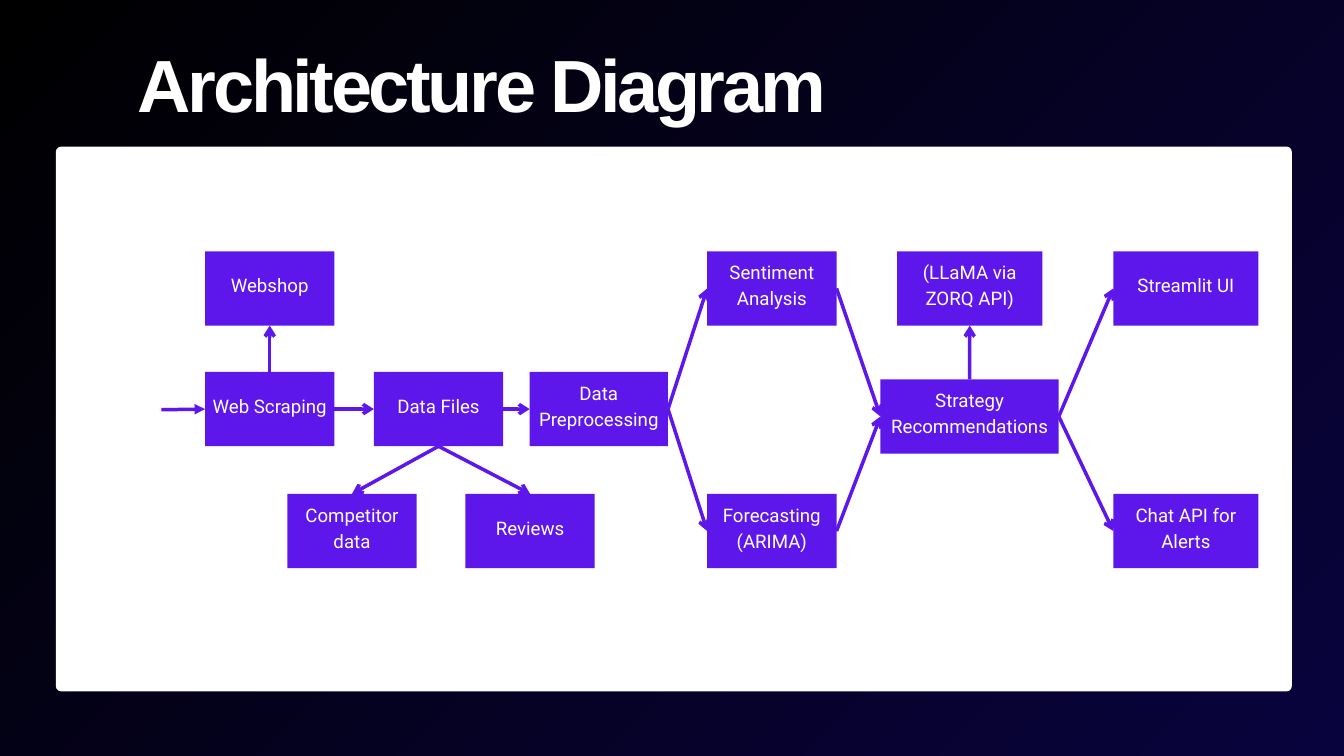
from dataclasses import dataclass

from pptx import Presentation
from pptx.dml.color import RGBColor
from pptx.enum.shapes import MSO_CONNECTOR, MSO_SHAPE
from pptx.enum.text import MSO_ANCHOR, PP_ALIGN
from pptx.oxml import parse_xml
from pptx.oxml.ns import nsdecls, qn
from pptx.util import Cm, Pt


@dataclass(frozen=True)
class Theme:
    white: RGBColor = RGBColor(0xFF, 0xFF, 0xFF)
    violet: RGBColor = RGBColor(0x5E, 0x17, 0xEB)
    black: RGBColor = RGBColor(0, 0, 0)
    navy: RGBColor = RGBColor(0x09, 0x03, 0x3D)
    title_size: Pt = Pt(79.2)
    title_leading: Pt = Pt(80.8)
    label_size: Pt = Pt(20)
    label_leading: Pt = Pt(28)
    line_width: Pt = Pt(3.75)


theme = Theme()


def add_panel(kind, left, top, width, height, color):
    """Add a flat, outline-free shape; lengths are in centimetres."""
    sp = s.shapes.add_shape(kind, Cm(left), Cm(top), Cm(width), Cm(height))
    sp.shadow.inherit = False
    sp.fill.solid()
    sp.fill.fore_color.rgb = color
    sp.line.fill.background()
    return sp


def write(tf, text, font, size, leading):
    """Write one centred white paragraph and return its run."""
    tf.word_wrap = True
    p = tf.paragraphs[0]
    p.text = text
    p.alignment = PP_ALIGN.CENTER
    p.line_spacing = leading
    r = p.runs[0]
    r.font.name = font
    r.font.size = size
    r.font.color.rgb = theme.white
    return r


prs = Presentation()
prs.slide_width, prs.slide_height = Cm(50.8), Cm(28.58)
s = prs.slides.add_slide(prs.slide_layouts[6])

# Background: circular gradient centred on the top-left corner
fill = s.background.fill
fill.gradient()
for stop, color in zip(fill.gradient_stops, (theme.black, theme.navy)):
    stop.color.rgb = color
for stop, position in zip(fill.gradient_stops, (0, 1)):
    stop.position = position
lin = s.element.find(".//" + qn("a:lin"))
lin.getparent().replace(lin, parse_xml(
    f'<a:path {nsdecls("a")} path="circle">'
    '<a:fillToRect l="0" t="0" r="100000" b="100000"/></a:path>'))

# White card
card = add_panel(MSO_SHAPE.ROUNDED_RECTANGLE, 2.11, 5.54, 46.72, 20.6, theme.white)
card.adjustments[0] = 0.01

# Boxes: three rows, with the strategy box slightly below the middle one
TOP, MIDDLE, STRATEGY, BOTTOM = 9.5, 14.06, 14.34, 18.67
BOX_HEIGHT = 2.81
NARROW, WIDE = 4.89, 5.49
nodes = {
    "scraping": ("Web Scraping", 7.75, MIDDLE, NARROW),
    "preprocessing": ("Data Preprocessing", 20.02, MIDDLE, 5.23),
    "shop": ("Webshop", 7.75, TOP, NARROW),
    "files": ("Data Files", 14.13, MIDDLE, NARROW),
    "competitor": ("Competitor data", 10.86, BOTTOM, NARROW),
    "reviews": ("Reviews", 17.59, BOTTOM, NARROW),
    "sentiment": ("Sentiment Analysis", 26.73, TOP, NARROW),
    "forecasting": ("Forecasting (ARIMA)", 26.73, BOTTOM, NARROW),
    "strategy": ("Strategy Recommendations", 33.28, STRATEGY, 6.74),
    "llm": ("(LLaMA via ZORQ API)", 33.91, TOP, WIDE),
    "ui": ("Streamlit UI", 42.08, TOP, WIDE),
    "alerts": ("Chat API for Alerts", 42.08, BOTTOM, WIDE),
}
boxes = {}
for name, (label, left, top, width) in nodes.items():
    sp = add_panel(MSO_SHAPE.RECTANGLE, left, top, width, BOX_HEIGHT, theme.violet)
    tf = sp.text_frame
    tf.vertical_anchor = MSO_ANCHOR.MIDDLE
    tf.margin_left = tf.margin_right = tf.margin_top = Cm(0.15)
    tf.margin_bottom = Cm(0.53)
    write(tf, label, "Roboto", theme.label_size, theme.label_leading)
    boxes[name] = sp

# Arrows join connection sites; the first one enters from outside
UP, LEFT, DOWN, RIGHT = range(4)
arrows = [
    (None, None, "scraping", LEFT),
    ("scraping", UP, "shop", DOWN),
    ("scraping", RIGHT, "files", LEFT),
    ("files", DOWN, "competitor", UP),
    ("files", DOWN, "reviews", UP),
    ("files", RIGHT, "preprocessing", LEFT),
    ("preprocessing", RIGHT, "sentiment", LEFT),
    ("preprocessing", RIGHT, "forecasting", LEFT),
    ("sentiment", RIGHT, "strategy", LEFT),
    ("forecasting", RIGHT, "strategy", LEFT),
    ("strategy", UP, "llm", DOWN),
    ("strategy", RIGHT, "ui", LEFT),
    ("strategy", RIGHT, "alerts", LEFT),
]
for source, exit_site, target, entry_site in arrows:
    cx = s.shapes.add_connector(
        MSO_CONNECTOR.STRAIGHT, Cm(6.1), Cm(15.49), Cm(7.75), Cm(15.47))
    if source:
        cx.begin_connect(boxes[source], exit_site)
    cx.end_connect(boxes[target], entry_site)
    cx.line.color.rgb = theme.violet
    cx.line.width = theme.line_width
    head = "arrow" if source else "triangle"
    cx.line._get_or_add_ln().append(
        parse_xml(f'<a:tailEnd {nsdecls("a")} type="{head}"/>'))
    cx._element.spPr.append(parse_xml(f'<a:effectLst {nsdecls("a")}/>'))

# Title
tf = s.shapes.add_textbox(Cm(3.71), Cm(1.96), Cm(29.01), Cm(3.18)).text_frame
tf.margin_left = tf.margin_right = tf.margin_top = tf.margin_bottom = 0
r = write(tf, "Architecture Diagram", "Arial", theme.title_size, theme.title_leading)
r.font.bold = True
r._r.get_or_add_rPr().set("spc", "-360")

prs.save("out.pptx")
